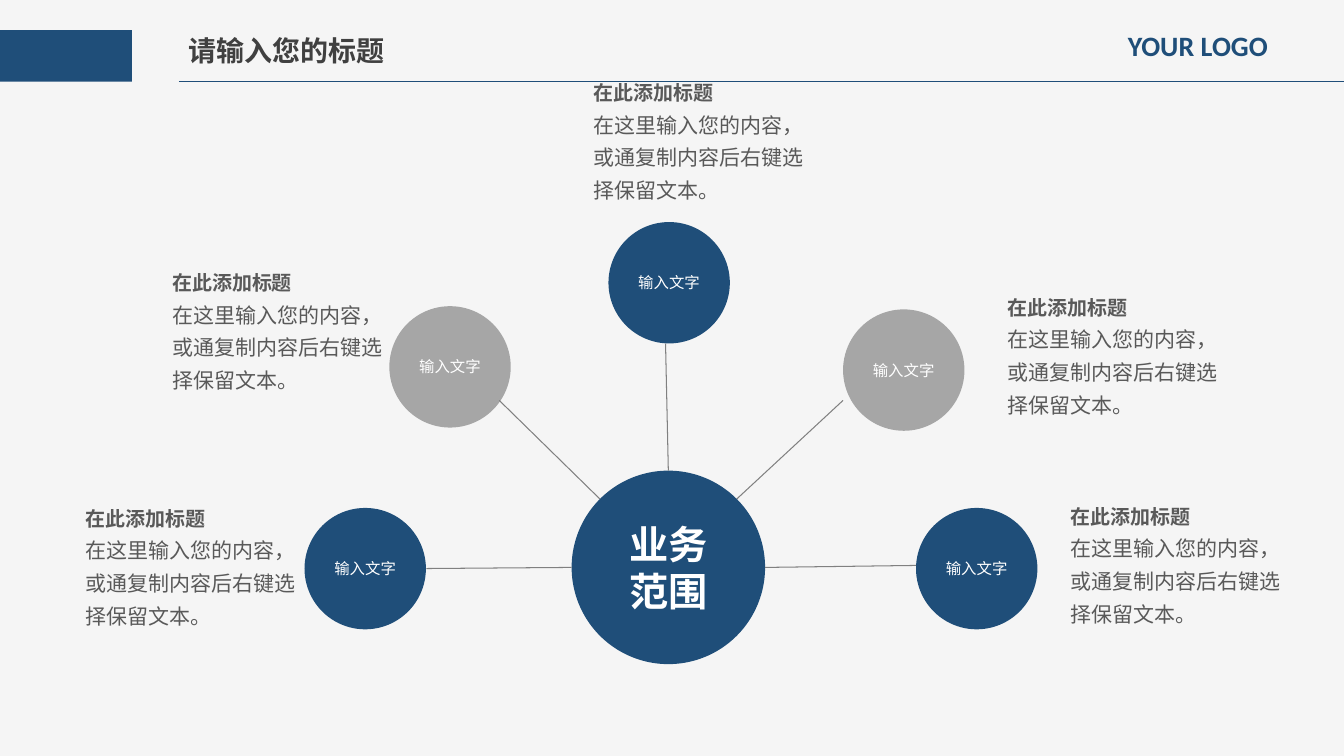
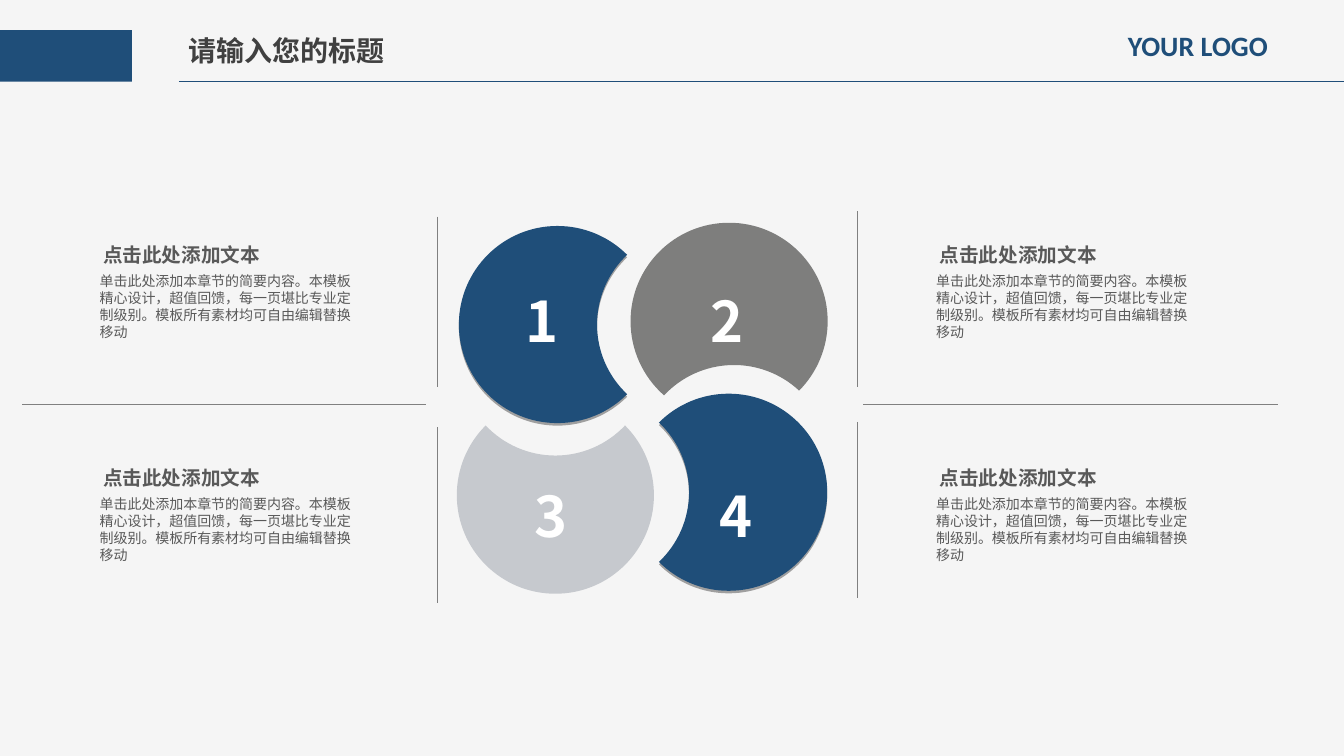
import math

import pptx
import pptx.dml.color
import pptx.enum.shapes
import pptx.enum.text
import pptx.oxml.ns
import pptx.util
from lxml import etree

Pt = pptx.util.Pt
qn = pptx.oxml.ns.qn
ALIGN = pptx.enum.text.PP_ALIGN
ANCHOR = pptx.enum.text.MSO_ANCHOR
SHAPE = pptx.enum.shapes.MSO_SHAPE

NAVY, SILVER, STEEL, PALE = "1F4E79", "A6A6A6", "7E7E7D", "C6C9CE"
RULE, BODY, TITLE, WHITE, BACKGROUND = "808080", "595959", "404040", "FFFFFF", "F5F5F5"
CJK_FONT = "Noto Sans CJK SC"

TITLE_FORMAT = {"name": "Arial", "size": Pt(20), "bold": True, "color": TITLE}
LOGO_FORMAT = {"name": "Calibri", "size": Pt(20), "bold": True, "color": NAVY}
HUB_FORMAT = {"name": CJK_FONT, "size": Pt(28), "bold": True, "color": WHITE}
SATELLITE_FORMAT = {"name": CJK_FONT, "size": Pt(11), "color": WHITE}
NOTE_HEADING_FORMAT = {"name": CJK_FONT, "size": Pt(14.25), "bold": True, "color": BODY}
NOTE_FORMAT = {"name": CJK_FONT, "size": Pt(15), "color": BODY}
NUMBER_FORMAT = {"name": CJK_FONT, "size": Pt(40), "bold": True, "color": WHITE}
CAPTION_HEADING_FORMAT = {"name": CJK_FONT, "size": Pt(14), "bold": True, "color": BODY}
CAPTION_FORMAT = {"name": CJK_FONT, "size": Pt(10), "color": BODY}

NOTE = [("在此添加标题", NOTE_HEADING_FORMAT),
        ("在这里输入您的内容，或通复制内容后右键选择保留文本。", NOTE_FORMAT)]
CAPTION_HEADING = "点击此处添加文本"
CAPTION = ("单击此处添加本章节的简要内容。本模板精心设计，超值回馈，"
           "每一页堪比专业定制级别。模板所有素材均可自由编辑替换移动")


def rgb(value):
    return pptx.dml.color.RGBColor.from_string(value)


def write(shape, lines, anchor=ANCHOR.TOP, wrap=True, **paragraph_format):
    """Write (text, font format) lines, one paragraph each."""
    frame = shape.text_frame
    frame.word_wrap = wrap
    frame.vertical_anchor = anchor
    for index, (text, font_format) in enumerate(lines):
        paragraph = frame.add_paragraph() if index else frame.paragraphs[0]
        for name, value in paragraph_format.items():
            setattr(paragraph, name, value)
        run = paragraph.add_run()
        run.text = text
        for name, value in font_format.items():
            if name == "color":
                run.font.color.rgb = rgb(value)
            else:
                setattr(run.font, name, value)
        east_asian = etree.SubElement(run.font._element, qn("a:ea"))
        east_asian.set("typeface", CJK_FONT)


def add_text(slide, left, top, width, height, lines, **options):
    box = slide.shapes.add_textbox(Pt(left), Pt(top), Pt(width), Pt(height))
    write(box, lines, **options)


def paint(shape, fill):
    shape.shadow.inherit = False
    shape.fill.solid()
    shape.fill.fore_color.rgb = rgb(fill)
    shape.line.fill.background()


def add_shape(slide, kind, left, top, width, height, fill):
    shape = slide.shapes.add_shape(kind, Pt(left), Pt(top), Pt(width), Pt(height))
    paint(shape, fill)
    return shape


def add_rule(slide, start, end, color=RULE):
    connector = slide.shapes.add_connector(
        pptx.enum.shapes.MSO_CONNECTOR.STRAIGHT, *map(Pt, (*start, *end)))
    connector.line.color.rgb = rgb(color)
    connector.line.width = Pt(0.75)
    etree.SubElement(connector._element.spPr, qn("a:effectLst"))


def add_drop_shadow(shape):
    effects = shape._element.spPr.find(qn("a:effectLst"))
    shadow = etree.SubElement(effects, qn("a:outerShdw"),
                              dist=str(Pt(1.8)), dir="5400000", rotWithShape="0")
    color = etree.SubElement(shadow, qn("a:srgbClr"), val="000000")
    etree.SubElement(color, qn("a:alpha"), val="34000")


def polar(center, radius, degrees):
    angle = math.radians(degrees)
    return (center[0] + radius * math.cos(angle),
            center[1] + radius * math.sin(angle))


def add_header(slide):
    add_rule(slide, (127.8, 58.3), (960, 58.3), NAVY)
    add_text(slide, 798.5, 12.2, 116.6, 35.3, [("YOUR LOGO", LOGO_FORMAT)],
             anchor=ANCHOR.MIDDLE, wrap=False, line_spacing=1.2)
    add_text(slide, 127.4, 9.4, 202.3, 52.6, [("请输入您的标题", TITLE_FORMAT)],
             anchor=ANCHOR.MIDDLE, alignment=ALIGN.JUSTIFY)
    add_shape(slide, SHAPE.RECTANGLE, 0, 21.6, 94.3, 36.7, NAVY)


def add_disc(slide, left, top, diameter, fill, text, font_format):
    disc = add_shape(slide, SHAPE.OVAL, left, top, diameter, diameter, fill)
    write(disc, [(text, font_format)], anchor=ANCHOR.MIDDLE, alignment=ALIGN.CENTER)


def add_hub_diagram(slide, left, top):
    """Draw the central disc and its five satellites, each with a spoke and a note."""
    radius = 69.1
    center = (left + 423.4, top + 356.3)
    add_disc(slide, center[0] - radius, center[1] - radius, 2 * radius,
             NAVY, "业务范围", HUB_FORMAT)
    satellites = [  # disc, fill, note, outer end of the spoke
        ((163.5, 313.8), NAVY, (0, 304.1), (250.6, 357.1)),
        ((224.1, 169.7), SILVER, (61.9, 135.6), (302.6, 237)),
        ((380.6, 109.6), NAVY, (362.9, 0), (421.4, 196.5)),
        ((548.2, 172), SILVER, (658.8, 153.3), (548.2, 237)),
        ((600.3, 313.8), NAVY, (703.9, 302.7), (600.3, 354.9)),
    ]
    for index, (disc, fill, note, spoke) in enumerate(satellites):
        add_disc(slide, left + disc[0], top + disc[1], 86.7,
                 fill, "输入文字", SATELLITE_FORMAT)
        add_rule(slide, (left + spoke[0], top + spoke[1]),
                 polar(center, radius, 180 + 45 * index))
        add_text(slide, left + note[0], top + note[1], 165.6, 100.8,
                 NOTE, line_spacing=1.3)


def arc_curves(center, radius, angles):
    """Return the Bezier curves, three points each, of an arc through the angles."""
    curves = []
    for start, end in zip(angles, angles[1:]):
        handle = 4 / 3 * math.tan(math.radians(end - start) / 4) * radius
        curves.append([polar(polar(center, radius, start), handle, start + 90),
                       polar(polar(center, radius, end), -handle, end + 90),
                       polar(center, radius, end)])
    return curves


def add_curved_shape(slide, start, curves):
    """Build a closed freeform on the curve ends, then bend its segments."""
    builder = slide.shapes.build_freeform(*map(Pt, start))
    builder.add_line_segments([tuple(map(Pt, curve[-1])) for curve in curves], close=True)
    shape = builder.convert_to_shape()
    segments = list(shape._element.iter(qn("a:lnTo")))
    for segment, curve in zip(segments, curves):
        bend = etree.Element(qn("a:cubicBezTo"))
        for x, y in curve:
            etree.SubElement(bend, qn("a:pt"), x=str(Pt(x) - shape.left),
                             y=str(Pt(y) - shape.top))
        segment.getparent().replace(segment, bend)
    return shape


def add_bitten_disc(slide, center, direction, half_angle, fill):
    """Draw a disc with a round bite taken out of it towards direction, in degrees."""
    radius, bite_radius = 70.4, 68.4
    half = math.radians(half_angle)
    bite_half = math.asin(radius * math.sin(half) / bite_radius)
    distance = radius * math.cos(half) + bite_radius * math.cos(bite_half)
    bite_center = polar(center, distance, direction)
    bite_angle = math.degrees(bite_half)

    first, last = direction + half_angle, direction + 360 - half_angle
    quarters = [angle for angle in range(0, 721, 90) if first < angle < last]
    facing = direction + 180
    curves = (arc_curves(center, radius, [first, *quarters, last])
              + arc_curves(bite_center, bite_radius,
                           [facing + bite_angle, facing, facing - bite_angle]))
    disc = add_curved_shape(slide, polar(center, radius, first), curves)
    paint(disc, fill)
    return disc


def add_number_cluster(slide, left, top):
    discs = [  # number, centre, bite direction, half angle, fill, number box
        ("1", (72, 72.7), 0, 45, NAVY, (42.1, 41.8)),
        ("2", (194.6, 70.4), 88, 43.3, STEEL, (174.2, 41.8)),
        ("4", (194.3, 192.5), 180, 45, NAVY, (180.7, 181.5)),
        ("3", (70.5, 194.6), 270, 45, PALE, (48.2, 181.5)),
    ]
    for number, (x, y), direction, half_angle, fill, box in discs:
        disc = add_bitten_disc(slide, (left + x, top + y), direction, half_angle, fill)
        if fill == NAVY:
            add_drop_shadow(disc)
        add_text(slide, left + box[0], top + box[1], 39.6, 55.4,
                 [(number, NUMBER_FORMAT)], wrap=False)


def add_caption(slide, left, top):
    add_text(slide, left, top, 133.2, 29.5, [(CAPTION_HEADING, CAPTION_HEADING_FORMAT)],
             alignment=ALIGN.RIGHT, line_spacing=1.5)
    add_text(slide, left + 4.3, top + 29.5, 195.8, 55.4, [(CAPTION, CAPTION_FORMAT)])


def add_dividers(slide, left, top):
    dividers = [
        ((296.7, 3.9), (296.7, 125.6)),
        ((296.7, 154.4), (296.7, 280)),
        ((596.9, 0), (596.9, 125.6)),
        ((596.9, 150.4), (596.9, 276.1)),
        ((0, 137.8), (288.3, 137.8)),
        ((600.9, 137.8), (897.2, 137.8)),
    ]
    for ends in dividers:
        add_rule(slide, *[(left + x, top + y) for x, y in ends])


def build_scope_slide(slide):
    add_hub_diagram(slide, 54, 49)
    add_header(slide)


def build_chapters_slide(slide):
    add_number_cluster(slide, 326.2, 159.1)
    add_dividers(slide, 15.8, 150.9)
    for column in range(2):
        for row in range(2):
            add_caption(slide, 59.8 + 597.5 * column, 161.7 + 159.4 * row)
    add_header(slide)


def main():
    presentation = pptx.Presentation()
    presentation.slide_width, presentation.slide_height = Pt(960), Pt(540)
    background = presentation.slide_master.background.fill
    background.solid()
    background.fore_color.rgb = rgb(BACKGROUND)
    for build in (build_scope_slide, build_chapters_slide):
        build(presentation.slides.add_slide(presentation.slide_layouts[6]))
    presentation.save("out.pptx")


if __name__ == "__main__":
    main()
